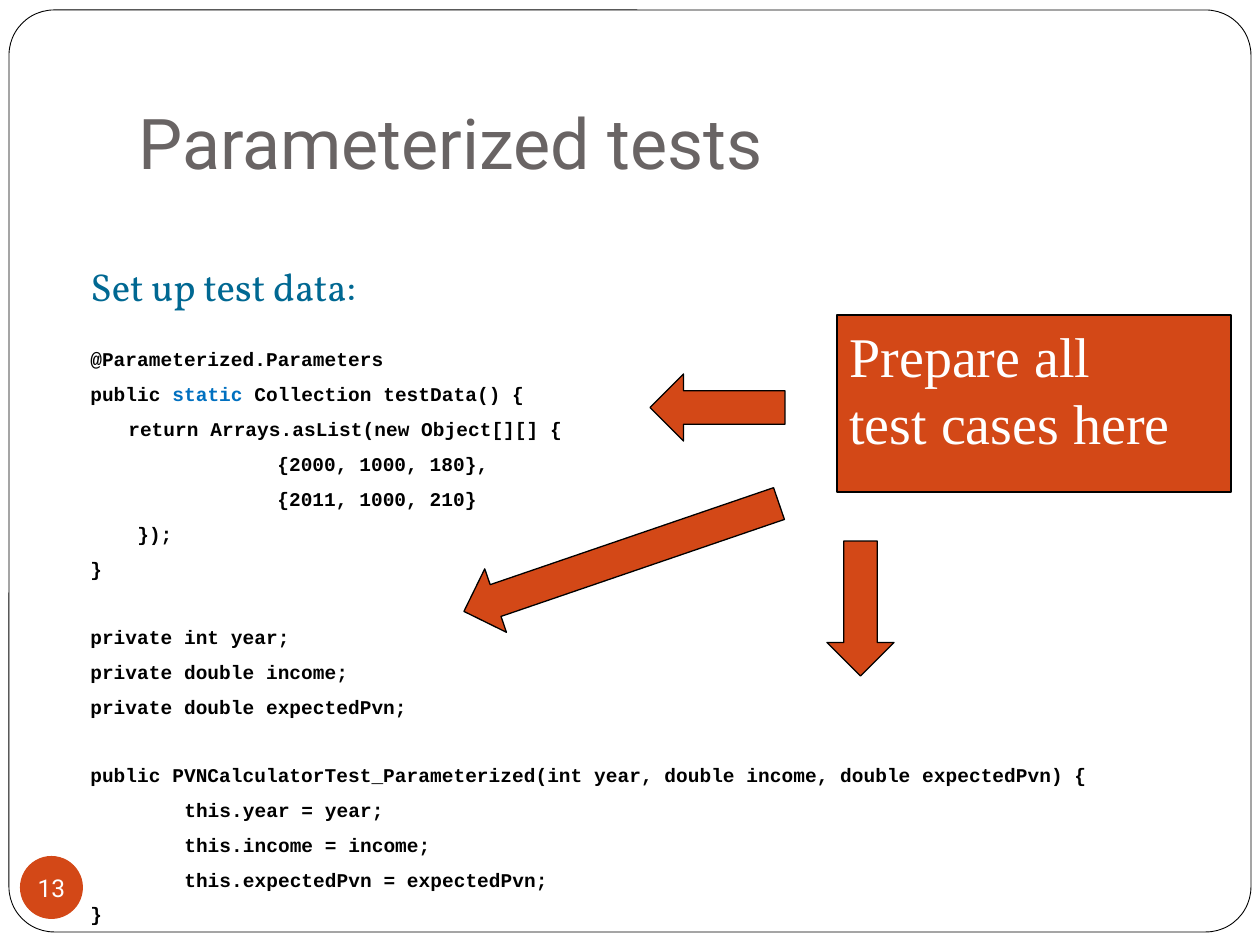
from pptx import Presentation, util as u
from pptx.dml.color import RGBColor
from pptx.enum import shapes, text

PX = u.Inches(1) / 126
ORANGE = RGBColor(0xD3, 0x48, 0x17)
BLACK = RGBColor(0, 0, 0)
WHITE = RGBColor(255, 255, 255)
GRAY = RGBColor(0x69, 0x64, 0x64)
TEAL = RGBColor(0x00, 0x68, 0x92)
BLUE = RGBColor(0x00, 0x70, 0xC0)
KIND = shapes.MSO_SHAPE


def px(*values):
    return [u.Emu(round(value * PX)) for value in values]


def write(frame, words, size, font, color, bold=False, new=True, before=0, indent=0):
    paragraph = frame.add_paragraph() if new else frame.paragraphs[-1]
    if new:
        paragraph.space_before = u.Pt(before)
        if indent:
            paragraph._p.get_or_add_pPr().set("marL", str(px(indent)[0]))
    run = paragraph.add_run()
    run.text = words
    run.font.size = u.Pt(size)
    run.font.name = font
    run.font.color.rgb = color
    run.font.bold = bold
    return paragraph


deck = Presentation()
deck.slide_width, deck.slide_height = px(1260, 945)
slide = deck.slides.add_slide(deck.slide_layouts[6])

drawn = []
for kind, box, fill, outline, turn in [
    (KIND.ROUNDED_RECTANGLE, (9, 10, 1242, 922), WHITE, 0.5, 0),
    (KIND.OVAL, (20, 856, 63, 63), ORANGE, 0, 0),
    (KIND.RECTANGLE, (837, 315, 394, 177), ORANGE, 0.75, 0),
    (KIND.LEFT_ARROW, (650, 374, 135, 67), ORANGE, 0.75, 0),
    (KIND.LEFT_ARROW, (455, 524, 333, 67), ORANGE, 0.75, 341.1),
    (KIND.DOWN_ARROW, (827, 541, 67, 135), ORANGE, 0.75, 0),
]:
    shape = slide.shapes.add_shape(kind, *px(*box))
    shape.shadow.inherit = False
    shape.fill.solid()
    shape.fill.fore_color.rgb = fill
    if outline:
        shape.line.color.rgb = BLACK
        shape.line.width = u.Pt(outline)
    else:
        shape.line.fill.background()
    shape.rotation = turn
    drawn.append(shape)
border, badge, callout = drawn[:3]
border.adjustments[0] = 0.049

number = badge.text_frame
number.margin_left = number.margin_right = number.margin_top = number.margin_bottom = 0
number.word_wrap = False
number.vertical_anchor = text.MSO_ANCHOR.MIDDLE
write(number, "13", 14, "Roboto", WHITE, new=False).alignment = text.PP_ALIGN.CENTER

advice = callout.text_frame
advice.vertical_anchor = text.MSO_ANCHOR.TOP
for row, words in enumerate(["Prepare all", "test cases here"]):
    line = write(advice, words, 32, "Times New Roman", WHITE, new=row > 0)
    line.alignment = text.PP_ALIGN.LEFT

title = slide.shapes.add_textbox(*px(126, 38, 1071, 158)).text_frame
title.word_wrap = True
title.vertical_anchor = text.MSO_ANCHOR.BOTTOM
title.margin_bottom = u.Inches(0.1)
write(title, "Parameterized tests", 40, "Roboto", GRAY, new=False)

body = slide.shapes.add_textbox(*px(78, 256, 1120, 610)).text_frame
body.word_wrap = True
write(body, "Set up test data:", 22.2, "Vollkorn", TEAL, new=False)

STEP, GAP, HEADING_GAP = 6.6, 25.7, 22
code = [
    (0, HEADING_GAP, ["@Parameterized.Parameters"]),
    (0, STEP, ["public ", "static", " Collection testData() {"]),
    (38, STEP, ["return Arrays.asList(new Object[][] {"]),
    (187, STEP, ["{2000, 1000, 180},"]),
    (187, STEP, ["{2011, 1000, 210}"]),
    (47, STEP, ["});"]),
    (0, STEP, ["}"]),
    (0, GAP, ["private int year;"]),
    (0, STEP, ["private double income;"]),
    (0, STEP, ["private double expectedPvn;"]),
    (0, GAP, ["public PVNCalculatorTest_Parameterized"
              "(int year, double income, double expectedPvn) {"]),
    (94, STEP, ["this.year = year;"]),
    (94, STEP, ["this.income = income;"]),
    (94, STEP, ["this.expectedPvn = expectedPvn;"]),
    (0, STEP, ["}"]),
]
for indent, before, pieces in code:
    for order, piece in enumerate(pieces):
        write(body, piece, 11.1, "Courier New", BLUE if piece == "static" else BLACK,
              bold=piece != "static" or True, new=order == 0, before=before, indent=indent)

deck.save("out.pptx")
